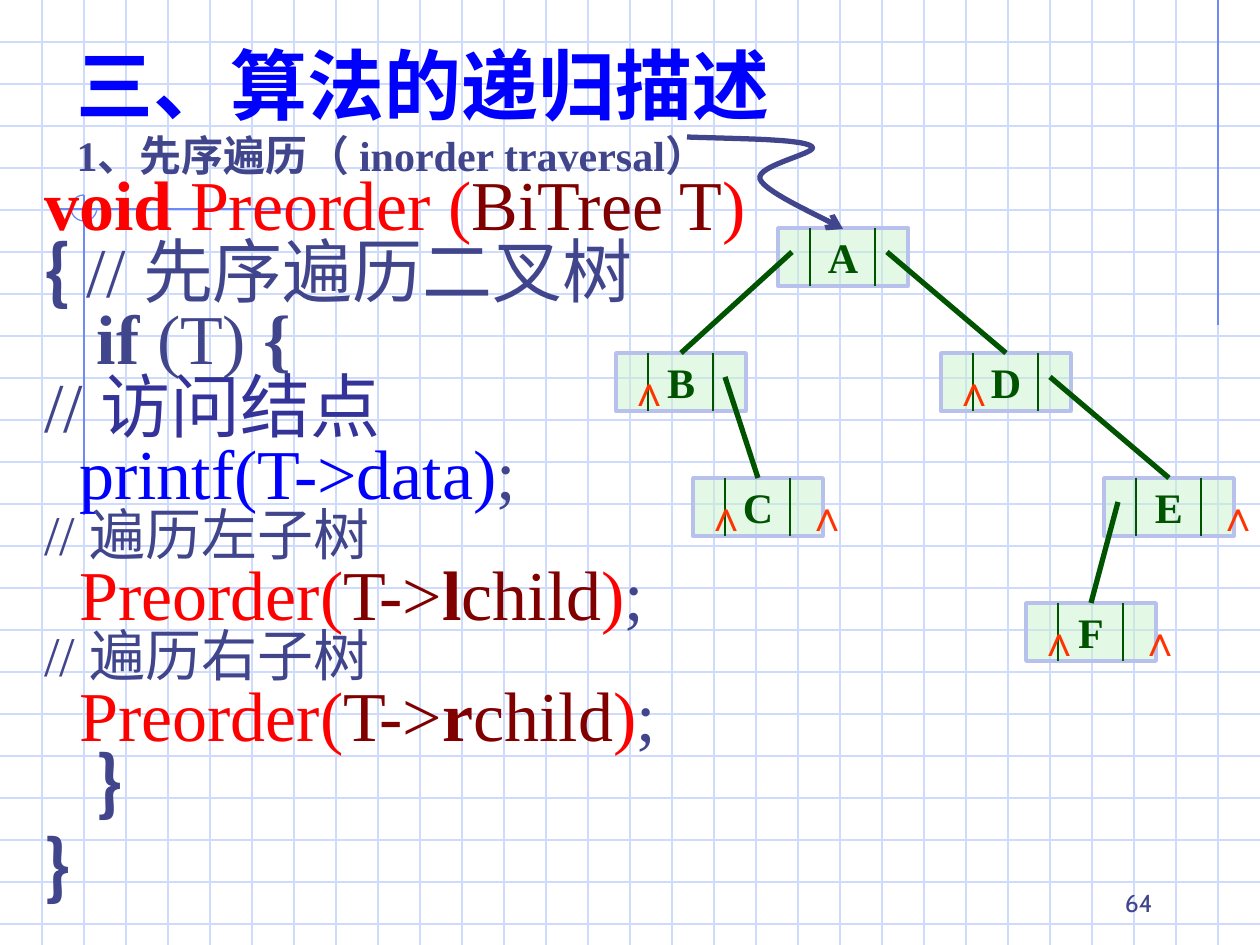
from lxml import etree
from pptx import Presentation
from pptx.dml.color import RGBColor
from pptx.enum.shapes import MSO_CONNECTOR, MSO_SHAPE
from pptx.enum.text import MSO_ANCHOR, MSO_AUTO_SIZE, PP_ALIGN
from pptx.oxml.ns import qn
from pptx.util import Pt

STRAIGHT = MSO_CONNECTOR.STRAIGHT
RECT, ARC = MSO_SHAPE.RECTANGLE, MSO_SHAPE.ARC
TOP, MIDDLE, BOTTOM = MSO_ANCHOR.TOP, MSO_ANCHOR.MIDDLE, MSO_ANCHOR.BOTTOM
LEFT, CENTER, RIGHT = PP_ALIGN.LEFT, PP_ALIGN.CENTER, PP_ALIGN.RIGHT
NO_FIT = MSO_AUTO_SIZE.NONE

BLUE = RGBColor(0x00, 0x00, 0xFF)
NAVY = RGBColor(0x40, 0x45, 0x8C)
INDIGO = RGBColor(0x33, 0x33, 0x99)
RED = RGBColor(0xFF, 0x00, 0x00)
MAROON = RGBColor(0x80, 0x00, 0x00)
ORANGE = RGBColor(0xFF, 0x33, 0x00)
GREEN = RGBColor(0x00, 0x54, 0x00)
MINT = RGBColor(0xCA, 0xF2, 0xCE)
LILAC = RGBColor(0xB7, 0xC1, 0xEB)
GRID = RGBColor(0xCF, 0xDB, 0xFD)
RULE = RGBColor(0x6F, 0x89, 0xF7)

SERIF, SANS = "Times New Roman", "Noto Sans CJK SC"
WIDTH, HEIGHT, GRID_STEP = 1260, 945, 42
NODE_W, NODE_H = 130, 58
LEFT_LINK, RIGHT_LINK, LINK_Y = 14, 109, 24
LEFT_NIL, RIGHT_NIL, NIL_Y = 0, 101, 5

NODES = {"A": (778, 228), "D": (941, 353), "E": (1104, 478),
         "B": (616, 353), "C": (693, 478), "F": (1026, 603)}
EDGES = [("A", LEFT_LINK, "B"), ("A", RIGHT_LINK, "D"), ("B", RIGHT_LINK, "C"),
         ("D", RIGHT_LINK, "E"), ("E", LEFT_LINK, "F")]
NILS = [("F", LEFT_NIL), ("F", RIGHT_NIL), ("E", RIGHT_NIL), ("D", LEFT_NIL),
        ("C", LEFT_NIL), ("C", RIGHT_NIL), ("B", LEFT_NIL)]
POINTER = [(687, 137), (743, 139), (800, 139), (811, 146), (824, 152),
           (755, 165), (760, 179), (765, 193), (829, 220), (843, 229)]


def px(n):
    return round(n * 914400 / 126)


def write(p, text, *, size, color=NAVY, bold=False, font=SERIF):
    r = p.add_run()
    r.text = text
    r.font.size, r.font.bold, r.font.name = Pt(size), bold, font
    r.font.color.rgb = color
    etree.SubElement(r.font._element, qn("a:ea"), typeface=SANS)


def set_leading(p, size, ratio=1.0):
    """Fix the line height at 1.2 times the text size, times the ratio."""
    p.line_spacing = Pt(round(size * 1.2 * ratio, 1))


def bezier_points(knots, steps=16):
    """Sample a chain of cubic curves that share their end points."""
    points = [knots[0]]
    for i in range(0, len(knots) - 1, 3):
        for k in range(1, steps + 1):
            t = k / steps
            weights = ((1 - t) ** 3, 3 * t * (1 - t) ** 2, 3 * t * t * (1 - t), t ** 3)
            points.append(tuple(sum(w * knot[axis] for w, knot in zip(weights, knots[i:i + 4]))
                                for axis in (0, 1)))
    return points


def recursive_call(letter):
    return 40, [("  ", {}), ("Preorder(", {"color": RED}), ("T->", {"color": MAROON}),
                (letter, {"color": MAROON, "bold": True}), ("child", {"color": MAROON}),
                (")", {"color": RED}), (";", {})]


BRACE = {"bold": True, "font": SANS}
CODE = [
    (40, [("void", {"color": RED, "bold": True}), (" Preorder (", {"color": RED}),
          ("BiTree T", {"color": MAROON}), (")", {"color": RED})]),
    (40, [("{ ", BRACE), ("// 先序遍历二叉树", {})]),
    (40, [("   ", {}), ("if ", {"bold": True}), ("(T)", {}), (" {", {"bold": True})]),
    (40, [("// ", {}), ("访问结点", {"color": INDIGO})]),
    (40, [("  ", {}), ("printf(T->data)", {"color": BLUE}), (";", {})]),
    (32, [("// 遍历左子树", {})]),
    recursive_call("l"),
    (32, [("// 遍历右子树", {})]),
    recursive_call("r"),
    (40, [("   ", {}), ("}", BRACE)]),
    (40, [("}", BRACE)]),
]


class Board:
    """Draws on one slide; all lengths are px."""

    def __init__(self, s):
        self.s = s

    def line(self, x1, y1, x2, y2, color, width):
        c = self.s.shapes.add_connector(STRAIGHT, px(x1), px(y1), px(x2), px(y2))
        c.line.color.rgb, c.line.width = color, Pt(width)
        etree.SubElement(c._element.spPr, qn("a:effectLst"))

    def frame(self, sp, anchor=TOP, wrap=False):
        tf = sp.text_frame
        tf.auto_size, tf.word_wrap, tf.vertical_anchor = NO_FIT, wrap, anchor
        tf.margin_left = tf.margin_right = Pt(7.2)
        tf.margin_top = tf.margin_bottom = Pt(3.6)
        return tf

    def title(self, x, y, w, h, lines):
        sp = self.s.shapes.title
        sp._element.getparent().append(sp._element)  # bring in front of the grid
        sp.left, sp.top, sp.width, sp.height = map(px, (x, y, w, h))
        tf = self.frame(sp)
        for i, (text, size, color) in enumerate(lines):
            p = tf.add_paragraph() if i else tf.paragraphs[0]
            p.alignment = LEFT
            set_leading(p, size)
            write(p, text, size=size, color=color, bold=True)

    def text_box(self, x, y, w, h, **frame):
        sp = self.s.shapes.add_textbox(px(x), px(y), px(w), px(h))
        return self.frame(sp, **frame)

    def code(self, x, y, w, h, rows):
        tf = self.text_box(x, y, w, h)
        for i, (size, runs) in enumerate(rows):
            p = tf.add_paragraph() if i else tf.paragraphs[0]
            set_leading(p, size, 1.0 if i == len(rows) - 1 else 0.8)
            for text, style in runs:
                write(p, text, size=size, **style)

    def node(self, letter, x, y):
        sp = self.s.shapes.add_shape(RECT, px(x), px(y), px(NODE_W), px(NODE_H))
        sp.shadow.inherit = False
        sp.fill.solid()
        sp.fill.fore_color.rgb = MINT
        fill_color = sp._element.spPr.find(qn("a:solidFill"))[0]
        etree.SubElement(fill_color, qn("a:alpha"), val="50000")
        sp.line.color.rgb, sp.line.width = LILAC, Pt(2)
        p = self.frame(sp, anchor=MIDDLE).paragraphs[0]
        p.alignment = CENTER
        write(p, letter, size=24, color=GREEN, bold=True)
        for dx in (NODE_W // 4, NODE_W * 3 // 4):
            self.line(x + dx, y, x + dx, y + NODE_H, GREEN, 1)

    def nil(self, x, y):
        p = self.text_box(x, y, 39, 63).paragraphs[0]
        set_leading(p, 24)
        write(p, "∧", size=24, color=ORANGE, bold=True, font="Arial")

    def three_quarter_circle(self, x, y, d):
        sp = self.s.shapes.add_shape(ARC, px(x), px(y), px(d), px(d))
        sp.adjustments[0], sp.adjustments[1] = 0, 162  # 270 degrees in 1/60000, over 100000
        sp.shadow.inherit = False
        sp.fill.background()
        sp.line.color.rgb, sp.line.width = RULE, Pt(0.75)

    def curved_arrow(self, knots):
        start, *rest = [(px(x), px(y)) for x, y in bezier_points(knots)]
        builder = self.s.shapes.build_freeform(*start)
        builder.add_line_segments(rest, close=False)
        sp = builder.convert_to_shape()
        sp.shadow.inherit = False
        sp.fill.background()
        sp.line.color.rgb, sp.line.width = NAVY, Pt(3)
        etree.SubElement(sp.line._get_or_add_ln(), qn("a:tailEnd"), type="arrow")


def main():
    prs = Presentation()
    prs.slide_width, prs.slide_height = px(WIDTH), px(HEIGHT)
    board = Board(prs.slides.add_slide(prs.slide_layouts[5]))

    for y in range(GRID_STEP, HEIGHT, GRID_STEP):
        board.line(0, y, WIDTH, y, GRID, 0.75)
    for x in range(GRID_STEP, WIDTH, GRID_STEP):
        board.line(x, 0, x, HEIGHT, GRID, 0.75)
    for ends in ((1218, 0, 1218, 325), (302, 209, 57, 209), (84, 195, 84, 515)):
        board.line(*ends, RULE, 0.75)
    board.three_quarter_circle(71, 195, 26)

    board.title(64, 31, 760, 156, [("三、算法的递归描述", 44, BLUE),
                                   ("1、先序遍历（ inorder traversal）", 24, NAVY)])
    board.code(32, 171, 730, 742, CODE)

    for letter, (x, y) in NODES.items():
        board.node(letter, x, y)
    for letter, dx in NILS:
        x, y = NODES[letter]
        board.nil(x + dx, y + NIL_Y)
    for parent, dx, child in EDGES:
        (x1, y1), (x2, y2) = NODES[parent], NODES[child]
        board.line(x1 + dx, y1 + LINK_Y, x2 + NODE_W // 2, y2, GREEN, 3)
    board.curved_arrow(POINTER)

    p = board.text_box(903, 861, 262, 63, anchor=BOTTOM, wrap=True).paragraphs[0]
    p.alignment = RIGHT
    write(p, "64", size=14, font="Cabin")
    prs.save("out.pptx")


if __name__ == "__main__":
    main()
